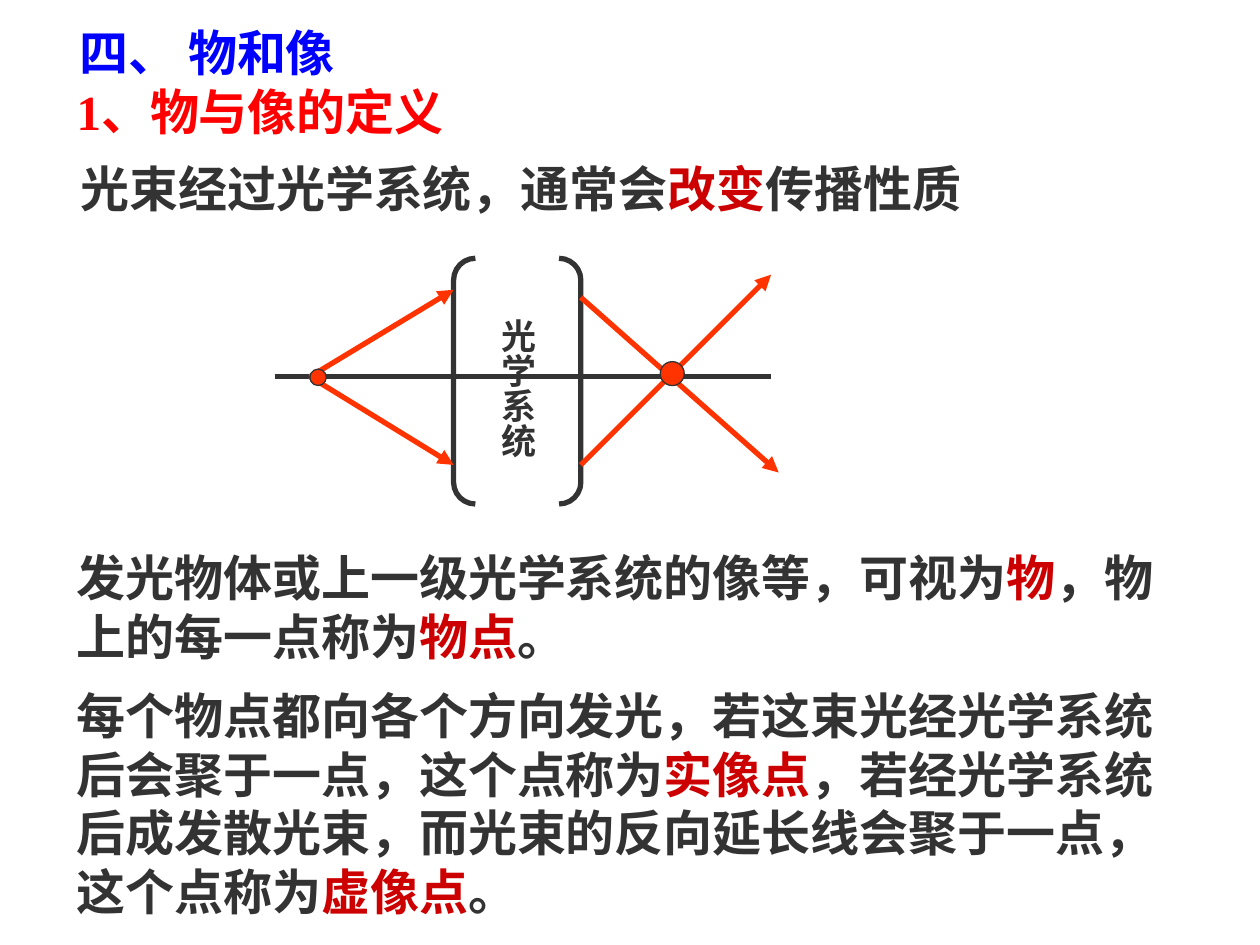
"""Build the slide that defines object and image points of an optical system."""
from dataclasses import dataclass

from pptx import Presentation
from pptx.dml.color import RGBColor
from pptx.enum.shapes import MSO_CONNECTOR as Connector, MSO_SHAPE as Shape
from pptx.enum.text import MSO_AUTO_SIZE as AutoSize, PP_ALIGN as Align
from pptx.oxml.ns import qn
from pptx.util import Emu, Pt
from lxml.etree import SubElement


@dataclass(frozen=True)
class Theme:
    ink: str = "333333"
    key: str = "CC0000"
    ray: str = "FF3300"
    heading: str = "0000FF"
    subheading: str = "FF0000"
    body_font: str = "Times New Roman"
    label_font: str = "Arial"
    body_size: int = 28
    label_size: int = 20
    stroke: float = 3
    outline: float = 0.75


THEME = Theme()
EMU_PER_PX = 9144
SLIDE_SIZE = (1000, 750)

TEXTS = [
    ((53, 13, 297, 57), True, [("四、 物和像", THEME.heading)]),
    ((51, 60, 711, 57), True, [("1、物与像的定义", THEME.subheading)]),
    ((54, 121, 719, 57), False, [
        ("光束经过光学系统，通常会", THEME.ink), ("改变", THEME.key), ("传播性质", THEME.ink)]),
    ((51, 430, 881, 104), True, [
        ("发光物体或上一级光学系统的像等，可视为", THEME.ink), ("物", THEME.key),
        ("，物上的每一点称为", THEME.ink), ("物点", THEME.key), ("。", THEME.ink)]),
    ((51, 539, 882, 197), True, [
        ("每个物点都向各个方向发光，若这束光经光学系统后会聚于一点，这个点称为", THEME.ink),
        ("实像点", THEME.key),
        ("，若经光学系统后成发散光束，而光束的反向延长线会聚于一点，这个点称为", THEME.ink),
        ("虚像点", THEME.key), ("。", THEME.ink)]),
]

SYSTEM_BOX = (360, 205, 101, 195)
SYSTEM_CURVE = 0.171
LABEL_BOX = (380, 243, 53, 164)
LABEL = "光学系统"
AXIS = ((218, 299), (612, 299))
RAYS = [
    ((246, 299), (360, 230)),
    ((246, 299), (360, 369)),
    ((461, 236), (618, 375)),
    ((461, 369), (612, 218)),
]
POINTS = [(246, 293, 13, 13), (524, 287, 19, 19)]


def px(*values):
    return [Emu(value * EMU_PER_PX) for value in values]


def color(code):
    return RGBColor.from_string(code)


def add_text(slide, box, runs, font_name, size, wrap=True):
    text_box = slide.shapes.add_textbox(*px(*box))
    frame = text_box.text_frame
    frame.word_wrap = wrap
    frame.auto_size = AutoSize.NONE
    paragraph = frame.paragraphs[0]
    for text, code in runs:
        run = paragraph.add_run()
        run.text = text
        run.font.name = font_name
        run.font.size = Pt(size)
        run.font.bold = True
        run.font.color.rgb = color(code)
    return frame


def add_vertical_label(slide):
    frame = add_text(slide, LABEL_BOX, [(LABEL, THEME.ink)], THEME.label_font, THEME.label_size)
    frame.margin_left, frame.margin_right = px(5, 5)
    frame.margin_top, frame.margin_bottom = px(10, 10)
    frame.paragraphs[0].alignment = Align.CENTER
    frame._txBody.bodyPr.set("vert", "eaVert")


def add_line(slide, start, end, code, arrow=False):
    connector = slide.shapes.add_connector(Connector.STRAIGHT, *px(*start, *end))
    connector.line.color.rgb = color(code)
    connector.line.width = Pt(THEME.stroke)
    if arrow:
        SubElement(connector.line._get_or_add_ln(), qn("a:tailEnd"), type="triangle")
    SubElement(connector._element.spPr, qn("a:effectLst"))


def add_outlined(slide, kind, box, width, fill=None):
    shape = slide.shapes.add_shape(kind, *px(*box))
    shape.shadow.inherit = False
    shape.line.color.rgb = color(THEME.ink)
    shape.line.width = Pt(width)
    if fill:
        shape.fill.solid()
        shape.fill.fore_color.rgb = color(fill)
    else:
        shape.fill.background()
    return shape


def main():
    presentation = Presentation()
    presentation.slide_width, presentation.slide_height = px(*SLIDE_SIZE)
    slide = presentation.slides.add_slide(presentation.slide_layouts[6])

    for box, wrap, runs in TEXTS:
        add_text(slide, box, runs, THEME.body_font, THEME.body_size, wrap)

    system = add_outlined(slide, Shape.DOUBLE_BRACKET, SYSTEM_BOX, THEME.stroke)
    system.adjustments[0] = SYSTEM_CURVE
    add_vertical_label(slide)
    add_line(slide, *AXIS, THEME.ink)
    for start, end in RAYS:
        add_line(slide, start, end, THEME.ray, arrow=True)
    for box in POINTS:
        add_outlined(slide, Shape.OVAL, box, THEME.outline, THEME.ray)

    presentation.save("out.pptx")


if __name__ == "__main__":
    main()
